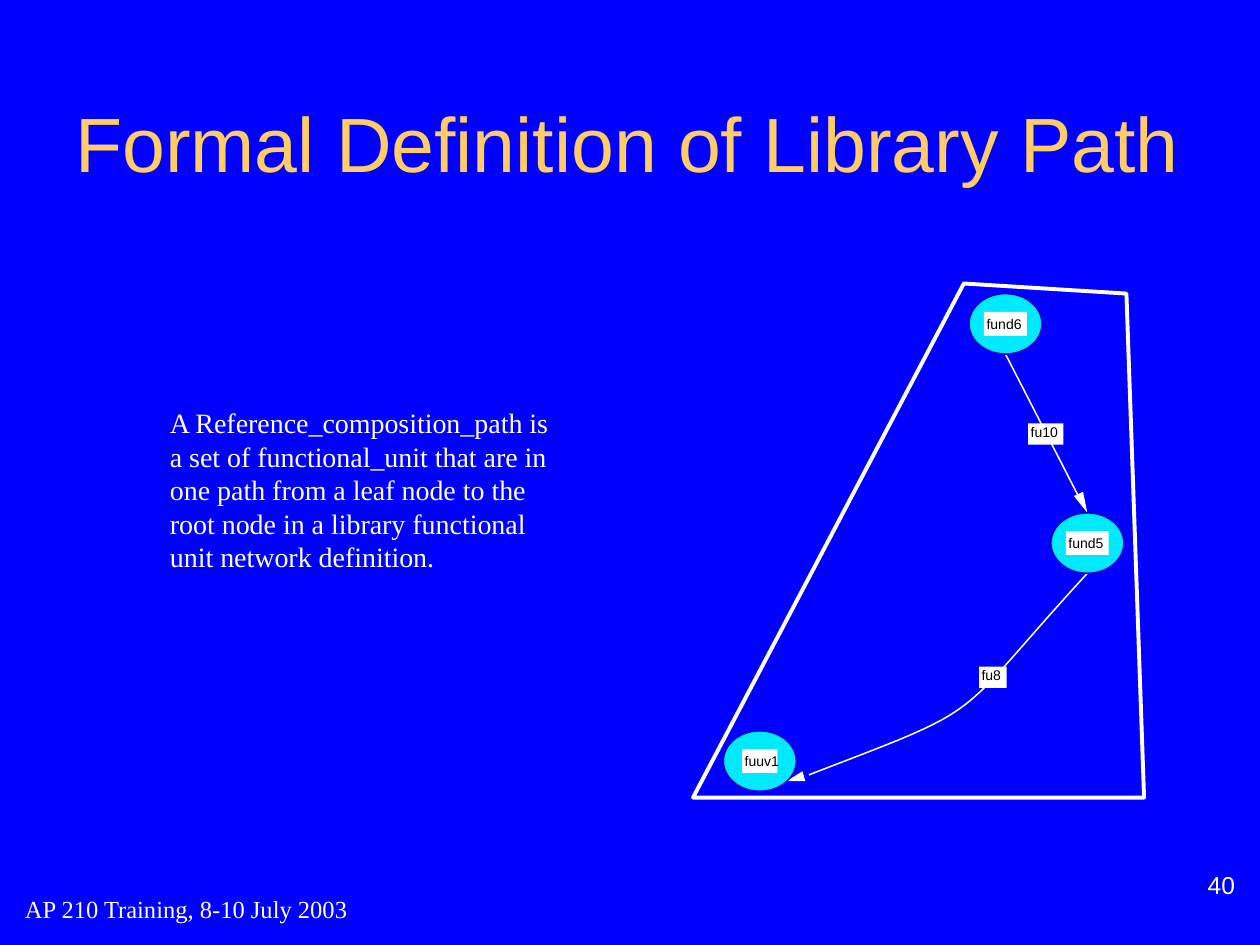
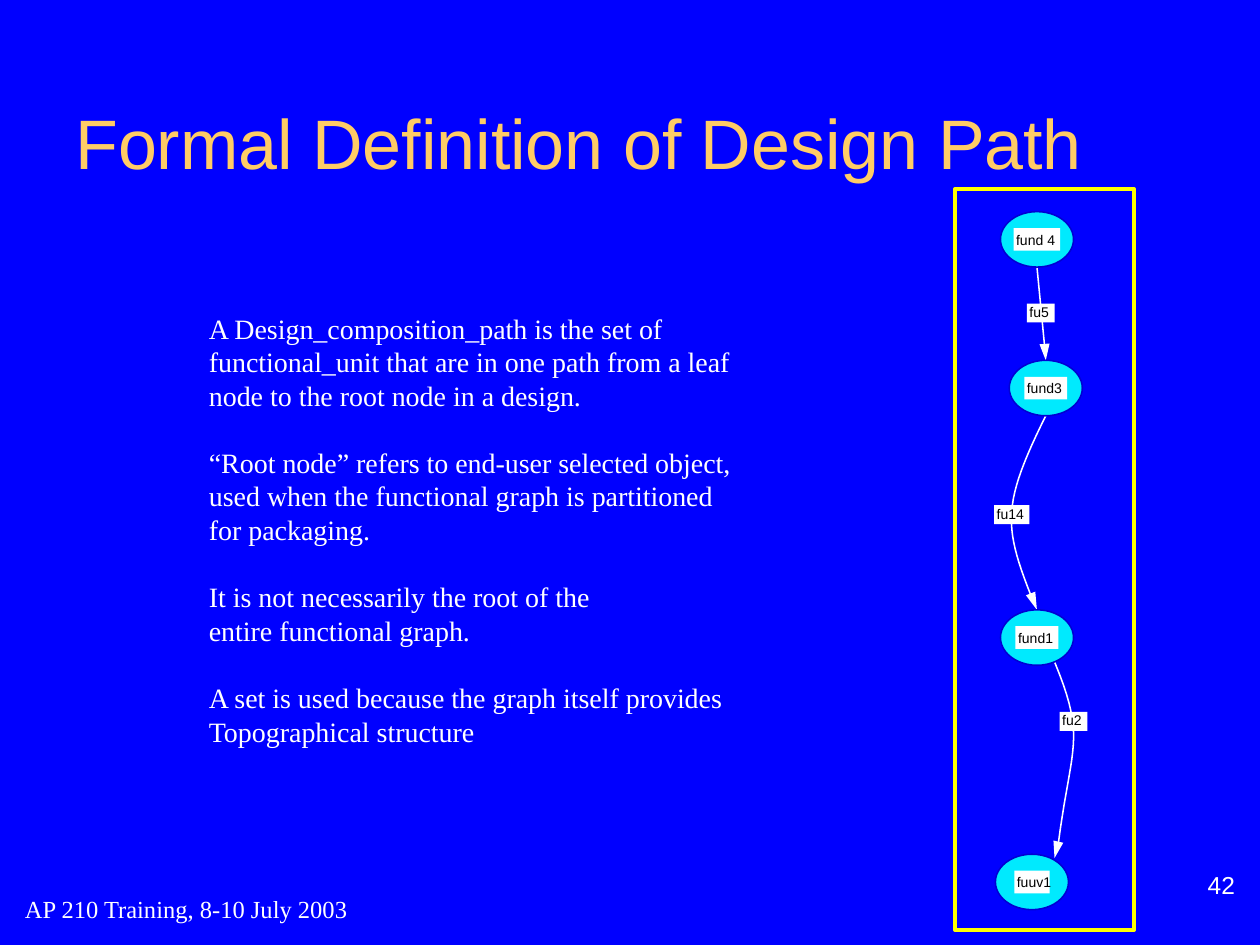
from math import hypot

from lxml.etree import SubElement
from pptx import Presentation
from pptx.dml.color import RGBColor
from pptx.enum.shapes import MSO_CONNECTOR, MSO_SHAPE
from pptx.enum.text import MSO_ANCHOR, PP_ALIGN
from pptx.oxml.ns import qn
from pptx.util import Inches, Pt


def colour(hex_value):
    return RGBColor.from_string(hex_value)


def write_text(shape, lines, font_format, frame_format, alignment=PP_ALIGN.LEFT):
    frame = shape.text_frame
    for name, value in frame_format.items():
        setattr(frame, name, value)
    frame.text = "\n".join(lines)
    for paragraph in frame.paragraphs:
        paragraph.alignment = alignment
        paragraph.font.color.rgb = colour(font_format["colour"])
        for name in ("name", "size"):
            setattr(paragraph.font, name, font_format[name])
    return frame.paragraphs


BLUE, NAVY, CYAN = "0000FF", "0000D3", "00EAFE"
WHITE, YELLOW, GOLD, BLACK = "FFFFFF", "FFFF00", "FFCC66", "000000"

EDGE_LINE, BOUNDARY_LINE = Pt(0.88), Pt(2.25)
BODY_LEADING = Pt(19.2)
NODE_WIDTH = 0.58
HEAD_HALF_WIDTH = 0.04
CURVE_STEPS = 24

TITLE_BOX = (0.5, 0.5, 9, 1.25)
FOOTER_BOX = (0.1, 6.96, 4.67, 0.5)
NUMBER_BOX = (7.85, 6.72, 2.05, 0.42)

title_font = {"name": "Arial", "colour": GOLD}
body_font = {"name": "Times New Roman", "size": Pt(16), "colour": WHITE}
footer_font = {"name": "Times New Roman", "size": Pt(14), "colour": WHITE}
number_font = {"name": "Arial", "size": Pt(14), "colour": WHITE}
label_font = {"name": "Arial", "size": Pt(8), "colour": BLACK}

middle_frame = {"word_wrap": True, "vertical_anchor": MSO_ANCHOR.MIDDLE}
number_frame = {"word_wrap": True, "vertical_anchor": MSO_ANCHOR.BOTTOM,
                "margin_top": 0, "margin_bottom": 0}
label_frame = {"word_wrap": False, "margin_left": Inches(0.02),
               "margin_right": 0, "margin_top": 0, "margin_bottom": 0}

# nodes: name, left, top, label width
# edges: name, label left, label top, label width, route, head base, head tip
# a route is either two end points or start, two control points and end
library_path = {
    "title": "Formal Definition of Library Path",
    "title_size": Pt(44),
    "number": "40",
    "body_box": (1.25, 3.17, 3.42, 1.44),
    "body_wrap": True,
    "statements": [
        ["A Reference_composition_path is",
         "a set of functional_unit that are in",
         "one path from a leaf node to the",
         "root node in a library functional unit network definition."],
    ],
    "boundary_corners": [(7.65, 2.25), (5.5, 6.33), (9.08, 6.33), (8.94, 2.33)],
    "boundary_colour": WHITE,
    "node_height": 0.48,
    "node_label_height": 0.19,
    "edge_label_height": 0.17,
    "nodes": [
        ("fund6", 7.69, 2.33, 0.34),
        ("fund5", 8.34, 4.07, 0.34),
        ("fuuv1", 5.74, 5.8, 0.28),
    ],
    "edges": [
        ("fu10", 8.16, 3.36, 0.28,
         [(7.98, 2.81), (8.56, 3.94)], (8.56, 3.92), (8.63, 4.07)),
        ("fu8", 7.77, 5.29, 0.22,
         [(8.63, 4.55), (7.52, 5.76), (7.9, 5.58), (6.42, 6.15)],
         (6.38, 6.16), (6.24, 6.2)),
    ],
}

design_path = {
    "title": "Formal Definition of Design Path",
    "title_size": Pt(40),
    "number": "42",
    "body_box": (1.56, 2.42, 4.34, 3.57),
    "body_wrap": False,
    "statements": [
        ["A Design_composition_path is the set of",
         "functional_unit that are in one path from a leaf",
         "node to the root node in a design."],
        ["“Root node” refers to end-user selected object,",
         "used when the functional graph is partitioned",
         "for packaging."],
        ["It is not necessarily the root of the",
         "entire functional graph."],
        ["A set is used because the graph itself provides",
         "Topographical structure"],
    ],
    "boundary_box": (7.58, 1.5, 1.42, 5.88),
    "boundary_colour": YELLOW,
    "node_height": 0.44,
    "node_label_height": 0.18,
    "edge_label_height": 0.15,
    "nodes": [
        ("fund 4", 7.94, 1.68, 0.37),
        ("fund3", 8.01, 2.86, 0.34),
        ("fund1", 7.94, 4.84, 0.34),
        ("fuuv1", 7.9, 6.78, 0.28),
    ],
    "edges": [
        ("fu5", 8.15, 2.41, 0.22,
         [(8.23, 2.12), (8.29, 2.74)], (8.29, 2.73), (8.3, 2.86)),
        ("fu14", 7.89, 4.01, 0.28,
         [(8.3, 3.3), (7.96, 3.99), (7.96, 4.16), (8.18, 4.72)],
         (8.18, 4.71), (8.23, 4.84)),
        ("fu2", 8.41, 5.65, 0.22,
         [(8.19, 4.85), (8.67, 5.88), (8.52, 5.77), (8.4, 6.69)],
         (8.4, 6.68), (8.37, 6.81)),
    ],
}

prs = Presentation()
prs.slide_width, prs.slide_height = Inches(10), Inches(7.5)
background = prs.slide_master.background.fill
background.solid()
background.fore_color.rgb = colour(BLUE)

for content in (library_path, design_path):
    shapes = prs.slides.add_slide(prs.slide_layouts[6]).shapes
    outlines = []
    boxes = []
    labels = []

    if "boundary_box" in content:
        boxes.append((MSO_SHAPE.RECTANGLE, content["boundary_box"], None,
                      content["boundary_colour"], BOUNDARY_LINE))
    else:
        outlines.append((content["boundary_corners"], True, None,
                         content["boundary_colour"], BOUNDARY_LINE))

    for name, left, top, width, route, base, tip in content["edges"]:
        if len(route) == 2:
            start, end = route
            edge = shapes.add_connector(MSO_CONNECTOR.STRAIGHT,
                                        *map(Inches, start + end))
            edge.line.color.rgb = colour(WHITE)
            edge.line.width = EDGE_LINE
            SubElement(edge.element.spPr, qn("a:effectLst"))
        else:
            curve = []
            for step in range(CURVE_STEPS + 1):
                t = step / CURVE_STEPS
                weights = ((1 - t) ** 3, 3 * t * (1 - t) ** 2,
                           3 * t ** 2 * (1 - t), t ** 3)
                curve.append([sum(w * p for w, p in zip(weights, axis))
                              for axis in zip(*route)])
            outlines.append((curve, False, None, WHITE, EDGE_LINE))

        along_x, along_y = tip[0] - base[0], tip[1] - base[1]
        scale = HEAD_HALF_WIDTH / hypot(along_x, along_y)
        side_x, side_y = -along_y * scale, along_x * scale
        head = [tip, (base[0] + side_x, base[1] + side_y),
                (base[0] - side_x, base[1] - side_y)]
        outlines.append((head, True, WHITE, None, None))
        labels.append((name, (left, top, width, content["edge_label_height"]),
                       MSO_ANCHOR.TOP))

    node_height = content["node_height"]
    label_height = content["node_label_height"]
    for name, left, top, label_width in content["nodes"]:
        boxes.append((MSO_SHAPE.OVAL, (left, top, NODE_WIDTH, node_height),
                      CYAN, NAVY, EDGE_LINE))
        label_box = (left + (NODE_WIDTH - label_width) / 2,
                     top + (node_height - label_height) / 2,
                     label_width, label_height)
        labels.append((name, label_box, MSO_ANCHOR.MIDDLE))

    for name, box, anchor in labels:
        boxes.append((MSO_SHAPE.RECTANGLE, box, WHITE, None, None))

    drawn = []
    for points, closed, *paint in outlines:
        corners = [(Inches(x), Inches(y)) for x, y in points]
        builder = shapes.build_freeform(*corners[0])
        builder.add_line_segments(corners[1:], close=closed)
        drawn.append((builder.convert_to_shape(), *paint))
    for preset, box, *paint in boxes:
        drawn.append((shapes.add_shape(preset, *map(Inches, box)), *paint))

    for shape, fill_colour, line_colour, line_width in drawn:
        shape.shadow.inherit = False
        for fill, hex_value in ((shape.fill, fill_colour),
                                (shape.line.fill, line_colour)):
            if hex_value:
                fill.solid()
                fill.fore_color.rgb = colour(hex_value)
            else:
                fill.background()
        if line_width:
            shape.line.width = line_width

    label_plates = drawn[-len(labels):]
    for (name, box, anchor), (plate, *paint) in zip(labels, label_plates):
        write_text(plate, [name], label_font,
                   {**label_frame, "vertical_anchor": anchor})

    title = shapes.add_textbox(*map(Inches, TITLE_BOX))
    write_text(title, [content["title"]],
               {**title_font, "size": content["title_size"]}, middle_frame)

    body = shapes.add_textbox(*map(Inches, content["body_box"]))
    statements = content["statements"]
    body_lines = write_text(body, sum(statements, []), body_font,
                            {"word_wrap": content["body_wrap"]})
    for line in body_lines:
        line.line_spacing = BODY_LEADING
    opening_line = 0
    for statement in statements[:-1]:
        opening_line += len(statement)
        body_lines[opening_line].space_before = BODY_LEADING

    footer = shapes.add_textbox(*map(Inches, FOOTER_BOX))
    write_text(footer, ["AP 210 Training, 8-10 July 2003"], footer_font,
               middle_frame)
    number = shapes.add_textbox(*map(Inches, NUMBER_BOX))
    write_text(number, [content["number"]], number_font, number_frame,
               PP_ALIGN.RIGHT)

prs.save("out.pptx")
